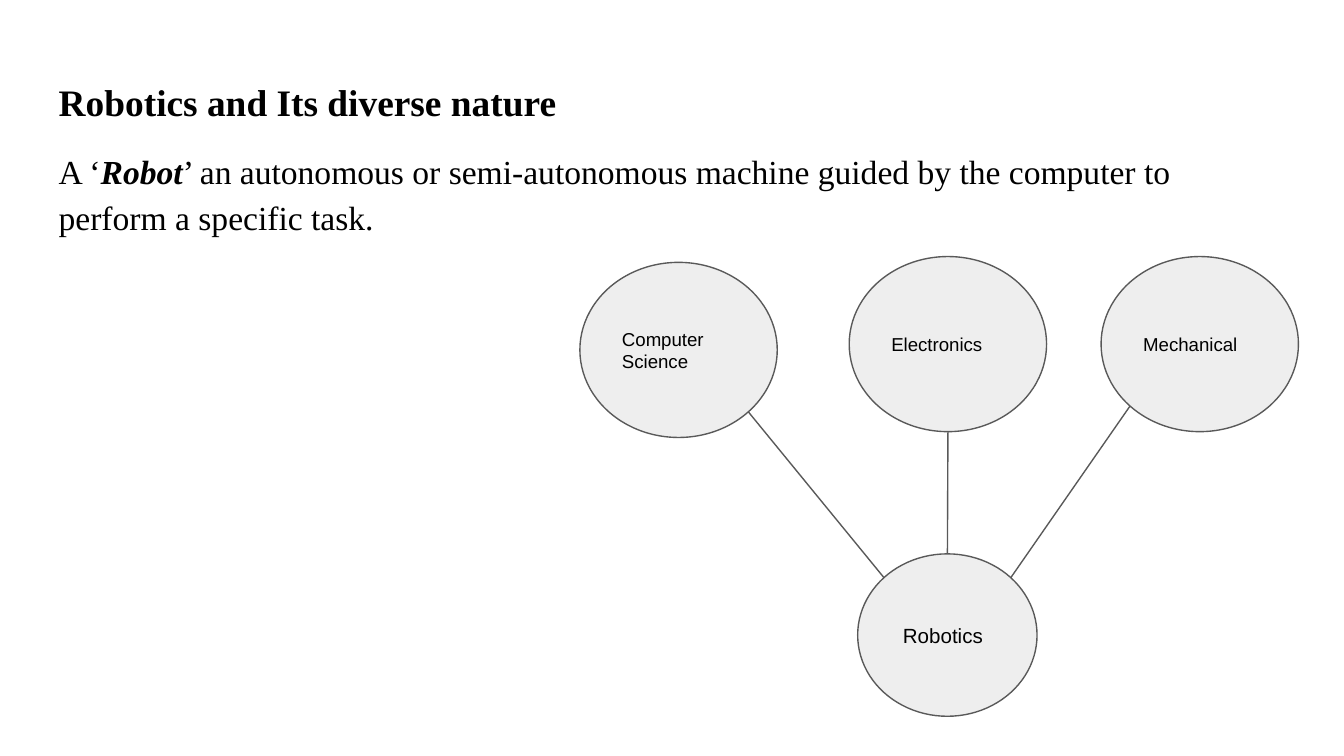
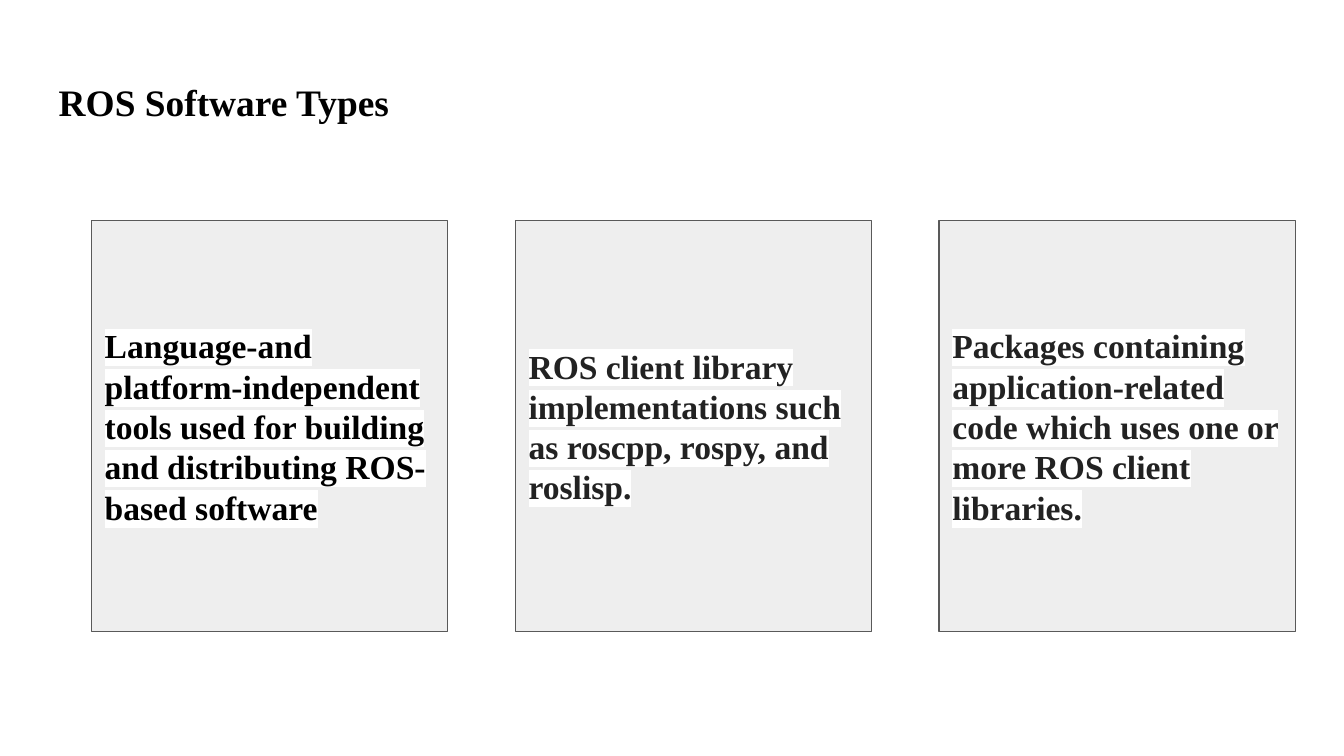
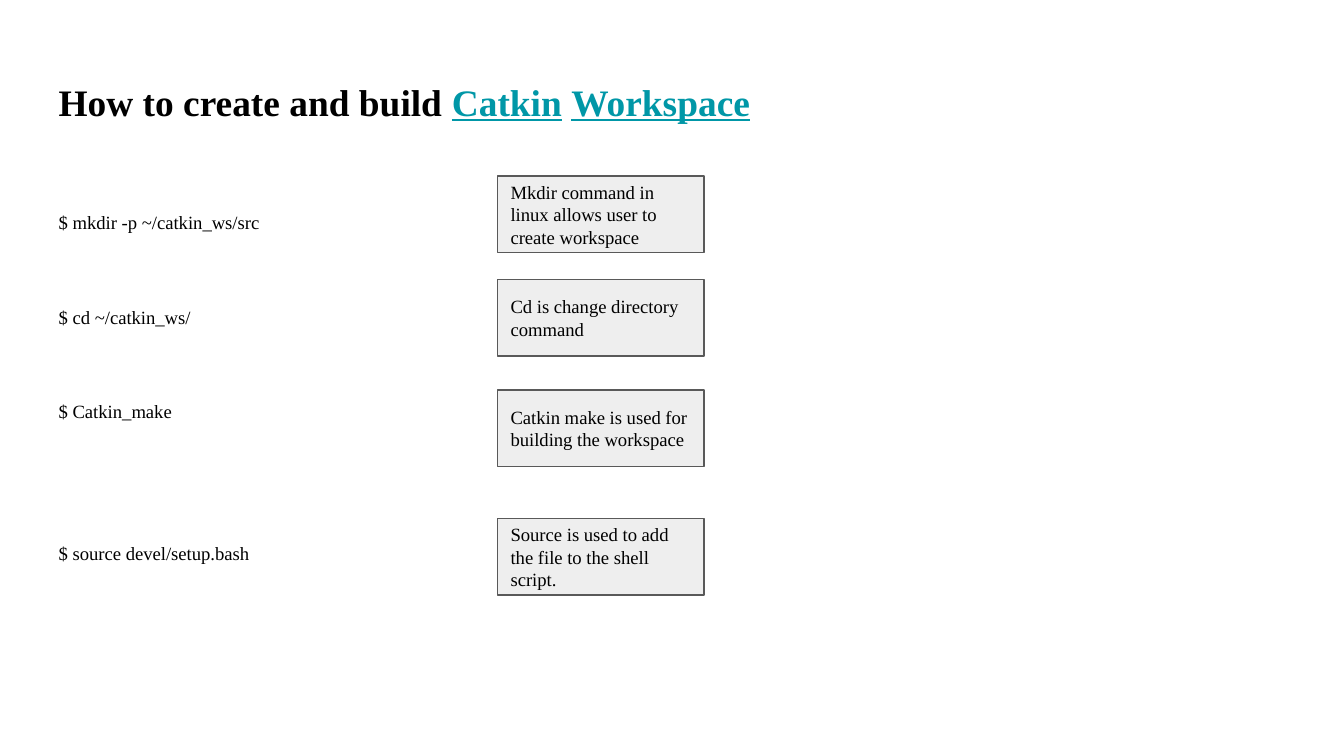
from lxml.etree import SubElement
from pptx import Presentation
from pptx.dml.color import RGBColor
from pptx.enum.shapes import MSO_CONNECTOR, MSO_SHAPE
from pptx.enum.text import MSO_ANCHOR, PP_ALIGN
from pptx.oxml import parse_xml
from pptx.oxml.ns import nsdecls, qn
from pptx.util import Cm, Pt

# Shared look
HUES = {"ink": "000000", "soft": "222222", "fill": "EEEEEE",
        "edge": "595959", "link": "0097A7", "mark": "FFFFFF"}
SERIF, SANS = "Times New Roman", "Arial"
HEAD = {"name": SERIF, "size": Pt(20), "bold": True}
BODY = {"name": SERIF, "size": Pt(18)}
CARD = {**BODY, "bold": True}
CODE = {"name": SERIF, "size": Pt(10)}
NODE = {"name": SANS, "size": Pt(10)}
HUB = {**NODE, "size": Pt(11)}
LEFT, WIDE = 0.86, 23.67  # text column, cm
DIAG = 0.5 ** 0.5  # share of the radius at 45 degrees


def hue(key):
    return RGBColor.from_string(HUES[key])


def apply(item, look):
    for key, value in look.items():
        setattr(item, key, value)


def add_run(para, text, look, ink="ink", mark=None):
    run = para.add_run()
    run.text = text
    apply(run.font, look)
    run.font.color.rgb = hue(ink)
    if mark:
        run.font._element.find(qn("a:solidFill")).addnext(parse_xml(
            f'<a:highlight {nsdecls("a")}><a:srgbClr val="{HUES[mark]}"/></a:highlight>'))


def set_frame(frame, anchor):
    pad = Cm(0.25)
    apply(frame, {"word_wrap": True, "vertical_anchor": anchor,
                  "margin_left": pad, "margin_right": pad,
                  "margin_top": pad, "margin_bottom": pad})


def add_text(slide, top, high):
    box = slide.shapes.add_textbox(Cm(LEFT), Cm(top), Cm(WIDE), Cm(high))
    set_frame(box.text_frame, MSO_ANCHOR.TOP)
    return box.text_frame


def add_title(slide, *parts):
    para = add_text(slide, 1.24, 1.6).paragraphs[0]
    for text, extra, ink in parts:
        add_run(para, text, {**HEAD, **extra}, ink)


def add_box(slide, kind, area, text, look, ink="ink", mark=None):
    box = slide.shapes.add_shape(kind, *map(Cm, area))
    box.shadow.inherit = False
    box.fill.solid()
    box.fill.fore_color.rgb = hue("fill")
    box.line.color.rgb = hue("edge")
    box.line.width = Pt(0.75)
    set_frame(box.text_frame, MSO_ANCHOR.MIDDLE)
    para = box.text_frame.paragraphs[0]
    para.alignment = PP_ALIGN.LEFT
    add_run(para, text, look, ink, mark)
    return box


def rim(oval, across, down):
    """Point on the edge of an oval, in the given direction."""
    return (int(oval.left + oval.width * (1 + across) / 2),
            int(oval.top + oval.height * (1 + down) / 2))


def add_line(slide, start, end):
    line = slide.shapes.add_connector(MSO_CONNECTOR.STRAIGHT, *start, *end)
    line.line.color.rgb = hue("edge")
    line.line.width = Pt(0.75)
    SubElement(line._element.spPr, qn("a:effectLst"))


def nature(slide):
    add_title(slide, ("Robotics and Its diverse nature", {}, "ink"))
    para = add_text(slide, 2.49, 11.05).paragraphs[0]
    para.line_spacing = 1.15
    add_run(para, "A ‘", BODY)
    add_run(para, "Robot", {**BODY, "bold": True, "italic": True})
    add_run(para, "’ an autonomous or semi-autonomous machine guided by "
                  "the computer to perform a specific task.", BODY)

    # Fields joined to the hub
    hub = add_box(slide, MSO_SHAPE.OVAL, (16.21, 10.47, 3.39, 3.07), " Robotics", HUB)
    fields = [("Computer Science", 10.96, 4.96, -DIAG, DIAG),
              ("Electronics", 16.05, 4.85, 0, 1),
              ("Mechanical", 20.81, 4.85, DIAG, DIAG)]
    for text, left, top, side, drop in fields:
        oval = add_box(slide, MSO_SHAPE.OVAL, (left, top, 3.73, 3.31), text, NODE)
        add_line(slide, rim(oval, -side, drop), rim(hub, side, -drop))


def types(slide):
    add_title(slide, ("ROS Software Types", {}, "ink"))
    cards = [("Language-and platform-independent tools used for building "
              "and distributing ROS-based software", "ink"),
             ("ROS client library implementations such as roscpp, rospy, "
              "and roslisp.", "soft"),
             ("Packages containing application-related code which uses one "
              "or more ROS client libraries.", "soft")]
    for i, (text, ink) in enumerate(cards):
        add_box(slide, MSO_SHAPE.RECTANGLE, (1.73 + 8.01 * i, 4.17, 6.73, 7.77),
                text, CARD, ink, "mark")


def build(slide):
    link = {"underline": True}
    add_title(slide, ("How to create and build ", {}, "ink"),
              ("Catkin", link, "link"), (" ", {}, "ink"),
              ("Workspace", link, "link"))

    # Commands (with the gap above) and their notes (with the top)
    steps = [("$ mkdir -p ~/catkin_ws/src", 0, 3.33,
              "Mkdir command in linux allows user to create workspace"),
             ("$ cd ~/catkin_ws/", 33.6, 5.28, "Cd is change directory command"),
             ("$ Catkin_make", 33.6, 7.37,
              "Catkin make is used for building the workspace"),
             ("$ source devel/setup.bash", 59, 9.8,
              "Source is used to add the file to the shell script.")]
    frame = add_text(slide, 3.55, 10.37)
    for i, (code, gap, top, note) in enumerate(steps):
        para = frame.add_paragraph() if i else frame.paragraphs[0]
        para.line_spacing = 1.43
        if gap:
            para.space_before = Pt(gap)
        add_run(para, code, CODE)
        add_box(slide, MSO_SHAPE.RECTANGLE, (9.4, top, 3.91, 1.45), note, CODE)


def main():
    deck = Presentation()
    apply(deck, {"slide_width": Cm(25.4), "slide_height": Cm(14.29)})
    for draw in (nature, types, build):
        draw(deck.slides.add_slide(deck.slide_layouts[6]))
    deck.save("out.pptx")


if __name__ == "__main__":
    main()
